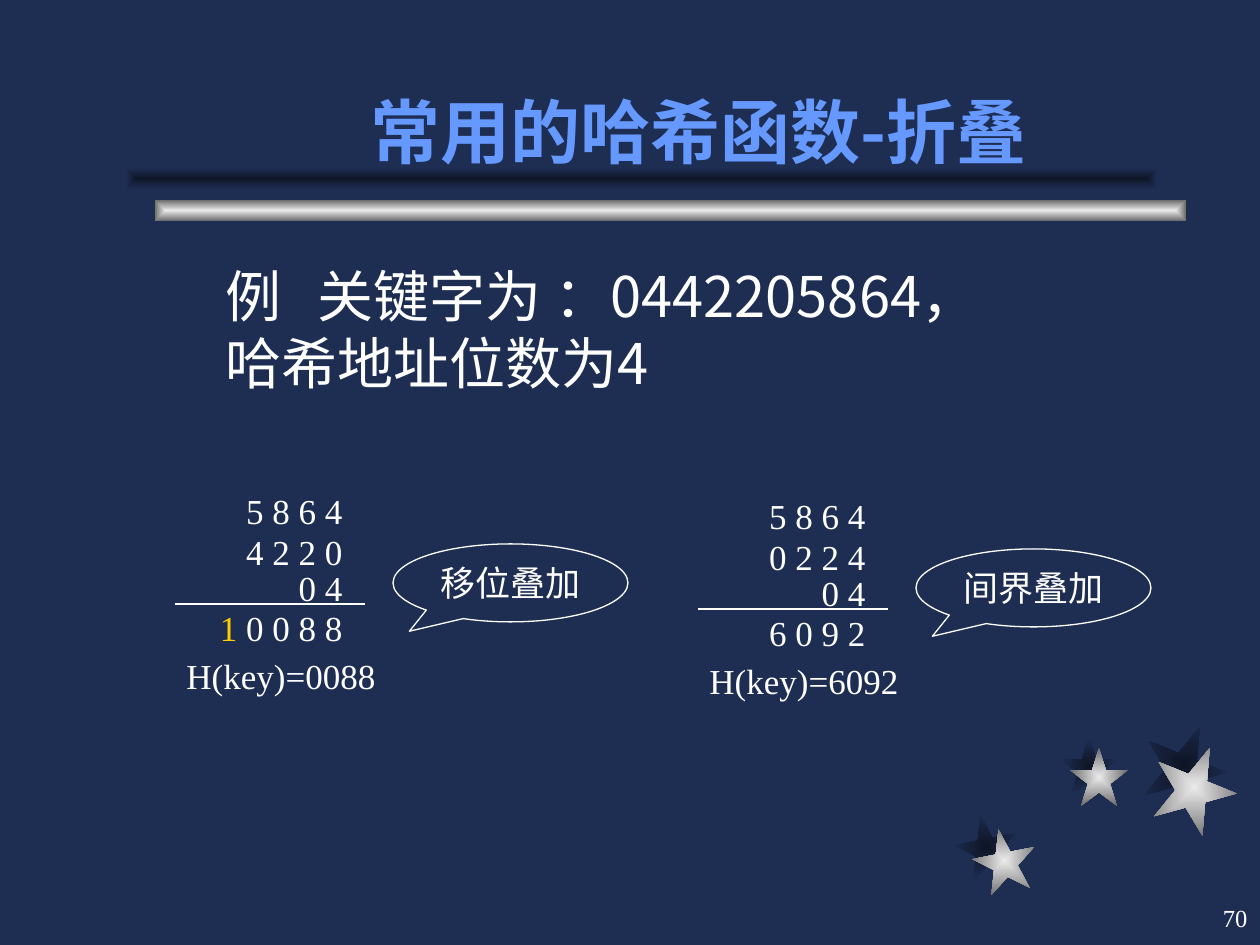
from lxml import etree
from pptx import Presentation
from pptx import util as u
from pptx.dml.color import RGBColor
from pptx.enum import shapes, text
from pptx.oxml import parse_xml
from pptx.oxml.ns import qn

PX = 914400 / 126
HEX = {"back": "1E2E53", "dark": "0E1526", "light": "EAEAEA", "grey": "6C6C6C",
       "title": "6699FF", "text": "FFFFFF", "carry": "FFCC00"}
SANS, SERIF = "Noto Sans CJK SC", "Times New Roman"
KIND, ALIGN, ANCHOR = shapes.MSO_SHAPE, text.PP_ALIGN, text.MSO_ANCHOR
NS = "http://schemas.openxmlformats.org/drawingml/2006/main"


def px(*nums):
    """Turn px lengths into EMU."""
    return [u.Emu(round(n * PX)) for n in nums]


def rgb(name):
    """Look up a colour."""
    return RGBColor.from_string(HEX[name])


def style(run, size, face, hue="text", bold=False):
    """Format one run in Latin and East Asian faces."""
    font = run.font
    font.size, font.bold, font.name = u.Pt(size), bold, face
    font.color.rgb = rgb(hue)
    etree.SubElement(run._r.get_or_add_rPr(), qn("a:ea")).set("typeface", SANS)


def write(shape, words, size, face, align=ALIGN.LEFT, wrap=False, hue="text", bold=False):
    """Fill a shape with one formatted paragraph and return it."""
    frame = shape.text_frame
    frame.text = words
    frame.word_wrap, frame.auto_size = wrap, text.MSO_AUTO_SIZE.NONE
    para = frame.paragraphs[0]
    para.alignment = align
    for run in para.runs:
        style(run, size, face, hue, bold)
    return para


def label(slide, box, words, size=20, face=SERIF, **opts):
    """Add a text box and return its paragraph."""
    return write(slide.shapes.add_textbox(*px(*box)), words, size, face, **opts)


def glow(slide, kind, box, inner, outer, turn=0):
    """Add a shape shaded from its centre outwards."""
    shape = slide.shapes.add_shape(kind, *px(*box))
    shape.rotation = turn
    shape.shadow.inherit = False
    shape.line.fill.background()
    stops = "".join(f'<a:gs pos="{pos}"><a:srgbClr val="{HEX[hue]}"/></a:gs>'
                    for pos, hue in ((0, inner), (100000, outer)))
    shape._element.spPr.insert(2, parse_xml(
        f'<a:gradFill xmlns:a="{NS}" rotWithShape="1"><a:gsLst>{stops}</a:gsLst>'
        '<a:path path="rect"><a:fillToRect l="50000" t="50000" r="50000" b="50000"/>'
        '</a:path></a:gradFill>'))


def stars(slide, left, top):
    """Draw three stars over their shadows."""
    shade = ((0, 91, 63, 349), (105, 13, 58, 0), (187, 0, 84, 22))
    lit = ((18, 105, 63, 349), (115, 24, 58, 0), (197, 21, 84, 22))
    for group, hues in ((shade, ("dark", "back")), (lit, ("light", "grey"))):
        for x, y, size, turn in group:
            glow(slide, KIND.STAR_5_POINT, (left + x, top + y, size, size), *hues, turn)


def header(slide, left, top):
    """Place the title and the bar with its shadow."""
    glow(slide, KIND.RECTANGLE, (left + 29, top + 168, 1031, 21), "light", "grey")
    glow(slide, KIND.RECTANGLE, (left, top + 136, 1031, 21), "dark", "back")
    title = slide.shapes.title
    title.left, title.top, title.width, title.height = px(left + 105, top, 935, 147)
    write(title, "常用的哈希函数-折叠", 40, SANS, ALIGN.CENTER, True, "title", True)
    title.text_frame.vertical_anchor = ANCHOR.BOTTOM


def intro(slide, box):
    """State the example key and the address length."""
    para = label(slide, box, "例\t关键字为 ：0442205864，哈希地址位数为4", 32, SANS, wrap=True)
    para.line_spacing = u.Pt(38.4)
    tabs = etree.SubElement(para._p.get_or_add_pPr(), qn("a:tabLst"))
    etree.SubElement(tabs, qn("a:tab"), pos=str(px(92)[0]), algn="l")


def total(slide, left, top, rows, carry, answer, name):
    """Draw one column sum, its hash value and a callout."""
    for y, row in zip((0, 41, 77, 117), rows):
        para = label(slide, (left + 34, top + y, 147, 55), row, align=ALIGN.RIGHT)
    if carry:
        para.runs[0].text = carry
        para.runs[0].font.color.rgb = rgb("carry")
        rest = para.add_run()
        rest.text = " " + row
        style(rest, 20, SERIF)
    rule = slide.shapes.add_connector(
        shapes.MSO_CONNECTOR.STRAIGHT,
        *px(left + 1, top + 121, left + 191, top + 121))
    etree.SubElement(rule._element.spPr, qn("a:effectLst"))
    label(slide, (left, top + 165, 214, 55), f"H(key)={answer}")
    call = slide.shapes.add_shape(KIND.OVAL_CALLOUT, *px(left + 219, top + 61, 235, 78))
    call.adjustments[0], call.adjustments[1] = -0.43, 0.62
    call.shadow.inherit = False
    call.fill.background()
    for line in (rule.line, call.line):
        line.color.rgb, line.width = rgb("text"), u.Pt(0.75)
    write(call, name, 20, SERIF, ALIGN.CENTER)
    call.text_frame.vertical_anchor = ANCHOR.MIDDLE


def main():
    """Build and save the slide."""
    deck = Presentation()
    deck.slide_width, deck.slide_height = px(1260, 945)
    slide = deck.slides.add_slide(deck.slide_layouts[5])
    slide.background.fill.solid()
    slide.background.fill.fore_color.rgb = rgb("back")
    stars(slide, 955, 724)
    header(slide, 126, 32)
    label(slide, (998, 897, 262, 48), "70", 14, align=ALIGN.RIGHT)
    intro(slide, (213, 255, 803, 214))
    total(slide, 174, 483, ("5 8 6 4", "4 2 2 0", "0 4", "0 0 8 8"), "1", "0088", "移位叠加")
    total(slide, 697, 488, ("5 8 6 4", "0 2 2 4", "0 4", "6 0 9 2"), "", "6092", "间界叠加")
    deck.save("out.pptx")


if __name__ == "__main__":
    main()
